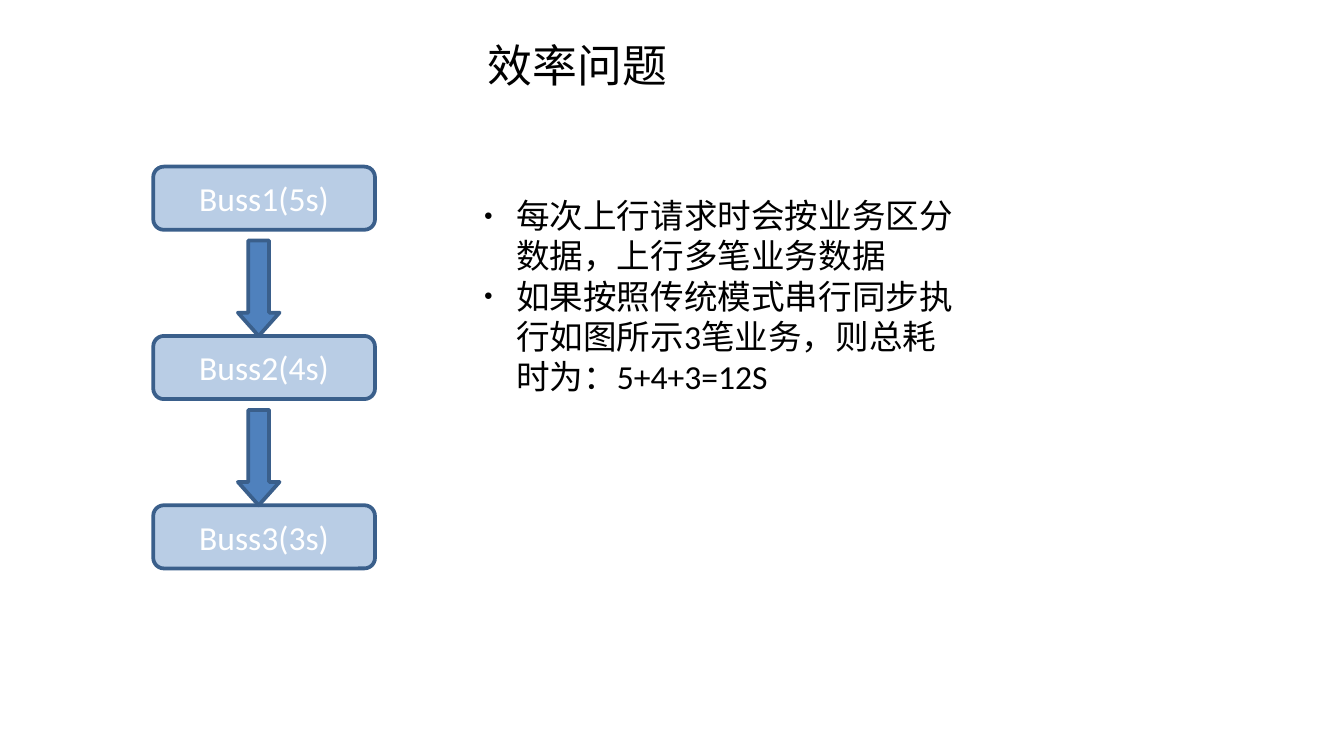
from lxml.etree import SubElement
from pptx import Presentation
from pptx.dml.color import RGBColor
from pptx.enum.shapes import MSO_SHAPE as Shape
from pptx.enum.text import MSO_ANCHOR as Anchor, MSO_AUTO_SIZE as AutoSize, PP_ALIGN as Align
from pptx.oxml.ns import qn
from pptx.util import Inches, Pt

COLORS = {"text": "000000", "label": "FFFFFF", "box": "B9CDE5",
          "arrow": "4F81BD", "outline": "3A5F8B"}
TITLE_FONT = {"name": "Calibri", "size": Pt(24)}
BODY_FONT = {"name": "Calibri", "size": Pt(18)}

# Flow grid, in inches
ROW_TOP, ROW_STEP = 1.24, 1.26
BOX_LEFT, BOX_WIDTH, BOX_HEIGHT = 1.14, 1.65, 0.47
ARROW_LEFT, ARROW_WIDTH, ARROW_HEIGHT = 1.77, 0.31, 0.71


def format_font(paragraph, values, color):
    for name, value in values.items():
        setattr(paragraph.font, name, value)
    paragraph.font.color.rgb = RGBColor.from_string(COLORS[color])


def add_flow_shape(kind, fill, *bounds):
    shape = slide.shapes.add_shape(kind, *map(Inches, bounds))
    shape.shadow.inherit = False
    shape.fill.solid()
    shape.fill.fore_color.rgb = RGBColor.from_string(COLORS[fill])
    shape.line.color.rgb = RGBColor.from_string(COLORS["outline"])
    shape.line.width = Pt(2)
    return shape


# Widescreen 16:9 slide
presentation = Presentation()
presentation.slide_width = Inches(10)
presentation.slide_height = presentation.slide_width * 9 // 16
slide = presentation.slides.add_slide(presentation.slide_layouts[1])
title, body = slide.placeholders

# Title and body positions
for placeholder, bounds in ((title, (0.91, 0.23, 6.77, 0.46)), (body, (3.5, 1.4, 3.7, 1.6))):
    for name, value in zip(("left", "top", "width", "height"), bounds):
        setattr(placeholder, name, Inches(value))
    placeholder.text_frame.word_wrap = True
    placeholder.text_frame.auto_size = AutoSize.NONE
    placeholder.text_frame.vertical_anchor = Anchor.TOP

# Title
title.text_frame.text = "效率问题"
title_paragraph = title.text_frame.paragraphs[0]
title_paragraph.alignment = Align.CENTER
format_font(title_paragraph, TITLE_FONT, "text")

# Bulleted explanation
body.text_frame.text = ("每次上行请求时会按业务区分数据，上行多笔业务数据\n"
                        "如果按照传统模式串行同步执行如图所示3笔业务，则总耗时为：5+4+3=12S")
for paragraph in body.text_frame.paragraphs:
    paragraph.space_before = Pt(0)
    properties = paragraph._p.get_or_add_pPr()
    properties.set("marL", str(Inches(0.24)))
    properties.set("indent", str(-Inches(0.24)))
    bullet_color = SubElement(properties, qn("a:buClr"))
    SubElement(bullet_color, qn("a:srgbClr"), val=COLORS["text"])
    SubElement(properties, qn("a:buSzPct"), val="45000")
    SubElement(properties, qn("a:buChar"), char="●")
    format_font(paragraph, BODY_FONT, "text")

# Serial steps
steps = ("Buss1(5s)", "Buss2(4s)", "Buss3(3s)")
for row, label in enumerate(steps):
    box = add_flow_shape(Shape.ROUNDED_RECTANGLE, "box", BOX_LEFT,
                         ROW_TOP + row * ROW_STEP, BOX_WIDTH, BOX_HEIGHT)
    box.text_frame.text = label
    box.text_frame.vertical_anchor = Anchor.MIDDLE
    paragraph = box.text_frame.paragraphs[0]
    paragraph.alignment = Align.CENTER
    format_font(paragraph, BODY_FONT, "label")

# Arrows ending at the top of the next step
for row in range(1, len(steps)):
    arrow = add_flow_shape(Shape.DOWN_ARROW, "arrow", ARROW_LEFT,
                           ROW_TOP + row * ROW_STEP - ARROW_HEIGHT, ARROW_WIDTH, ARROW_HEIGHT)
    arrow.adjustments[1] = 0.56

presentation.save("out.pptx")
